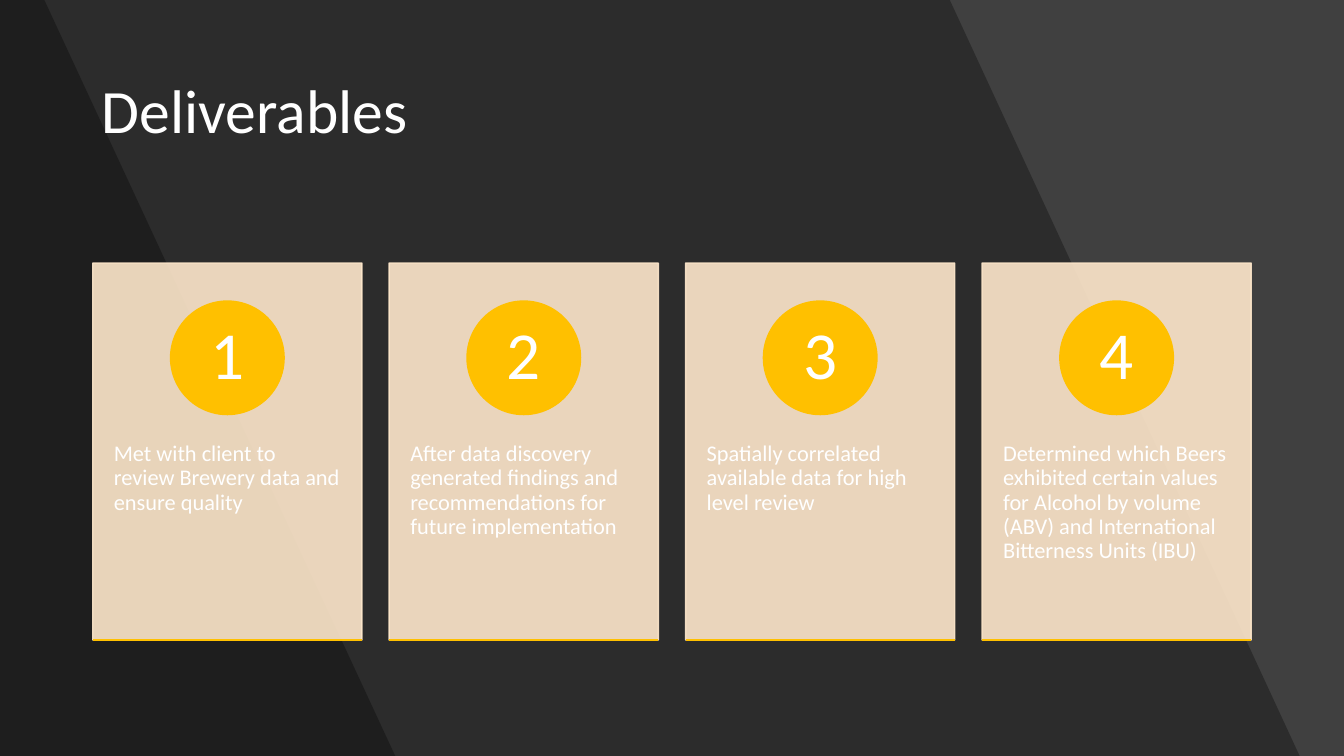
from pptx import Presentation
from pptx.dml.color import RGBColor
from pptx.enum.shapes import MSO_CONNECTOR as LINK, MSO_SHAPE as KIND
from pptx.enum.text import MSO_ANCHOR as ANCHOR, PP_ALIGN as ALIGN
from pptx.oxml.ns import qn
from pptx.oxml.xmlchemy import OxmlElement as Node
from pptx.util import Inches, Pt

WHITE, BLACK, GOLD, CREAM = "FFFFFF", "000000", "FFC000", "FFE8CC"
TOP, WIDE, TALL, STEP = 2.61, 2.67, 3.74, 2.94
DISC, LABEL = 1.14, 0.79


def paint(shape, color, alpha=100, edge=True):
    shape.shadow.inherit = False
    shape.fill.solid()
    shape.fill.fore_color.rgb = RGBColor.from_string(color)
    if edge:
        shape.line.color.rgb = RGBColor.from_string(color)
        shape.line.width = Pt(1)
    else:
        shape.line.fill.background()
    if alpha < 100:
        for tint in shape._element.spPr.iter(qn("a:srgbClr")):
            node = Node("a:alpha")
            node.set("val", str(alpha * 1000))
            tint.append(node)


def write(text, box, size, pad, anchor=ANCHOR.TOP, align=ALIGN.LEFT):
    frame = slide.shapes.add_textbox(*map(Inches, box)).text_frame
    frame.word_wrap = True
    frame.vertical_anchor = anchor
    frame.margin_left = frame.margin_right = Inches(pad[0])
    frame.margin_top = frame.margin_bottom = Inches(pad[1])
    line = frame.paragraphs[0]
    line.text = text
    line.alignment = align
    line.line_spacing = 0.9
    line.font.name = "Calibri"
    line.font.size = Pt(size)
    line.font.color.rgb = RGBColor.from_string(WHITE)


deck = Presentation()
deck.slide_width, deck.slide_height = Inches(13.33), Inches(7.5)
slide = deck.slides.add_slide(deck.slide_layouts[6])
back = slide.background.fill
back.solid()
back.fore_color.rgb = RGBColor.from_string("404040")

for upper, lower in [(9.42, 12.89), (0.44, 3.92)]:
    path = slide.shapes.build_freeform(0, 0)
    points = [(upper, 0), (lower, 7.5), (0, 7.5)]
    path.add_line_segments([(Inches(x), Inches(y)) for x, y in points])
    paint(path.convert_to_shape(), BLACK, 30, edge=False)

write("Deliverables", (0.91, 0.4, 11.51, 1.45), 44, (0.1, 0.05), ANCHOR.MIDDLE)

cards = [
    "Met with client to review Brewery data and ensure quality",
    "After data discovery generated findings and recommendations for future implementation",
    "Spatially correlated available data for high level review",
    "Determined which Beers exhibited certain values for Alcohol by volume (ABV) "
    "and International Bitterness Units (IBU)",
]
for i, text in enumerate(cards):
    left = 0.92 + i * STEP
    mid = left + WIDE / 2
    card = slide.shapes.add_shape(
        KIND.RECTANGLE, Inches(left), Inches(TOP), Inches(WIDE), Inches(TALL))
    paint(card, CREAM, 90)
    write(text, (left, 4.03, WIDE, 2.25), 16, (0.21, 0.36))

    disc = slide.shapes.add_shape(
        KIND.OVAL, Inches(mid - DISC / 2), Inches(2.98), Inches(DISC), Inches(DISC))
    paint(disc, GOLD, edge=False)
    write(str(i + 1), (mid - LABEL / 2, 3.15, LABEL, LABEL), 48, (0.09, 0.01),
          ANCHOR.MIDDLE, ALIGN.CENTER)

    base = Inches(TOP + TALL)
    rule = slide.shapes.add_connector(
        LINK.STRAIGHT, Inches(left), base, Inches(left + WIDE), base)
    rule.line.color.rgb = RGBColor.from_string(GOLD)
    rule.line.width = Pt(1)
    rule._element.spPr.append(Node("a:effectLst"))

deck.save("out.pptx")
